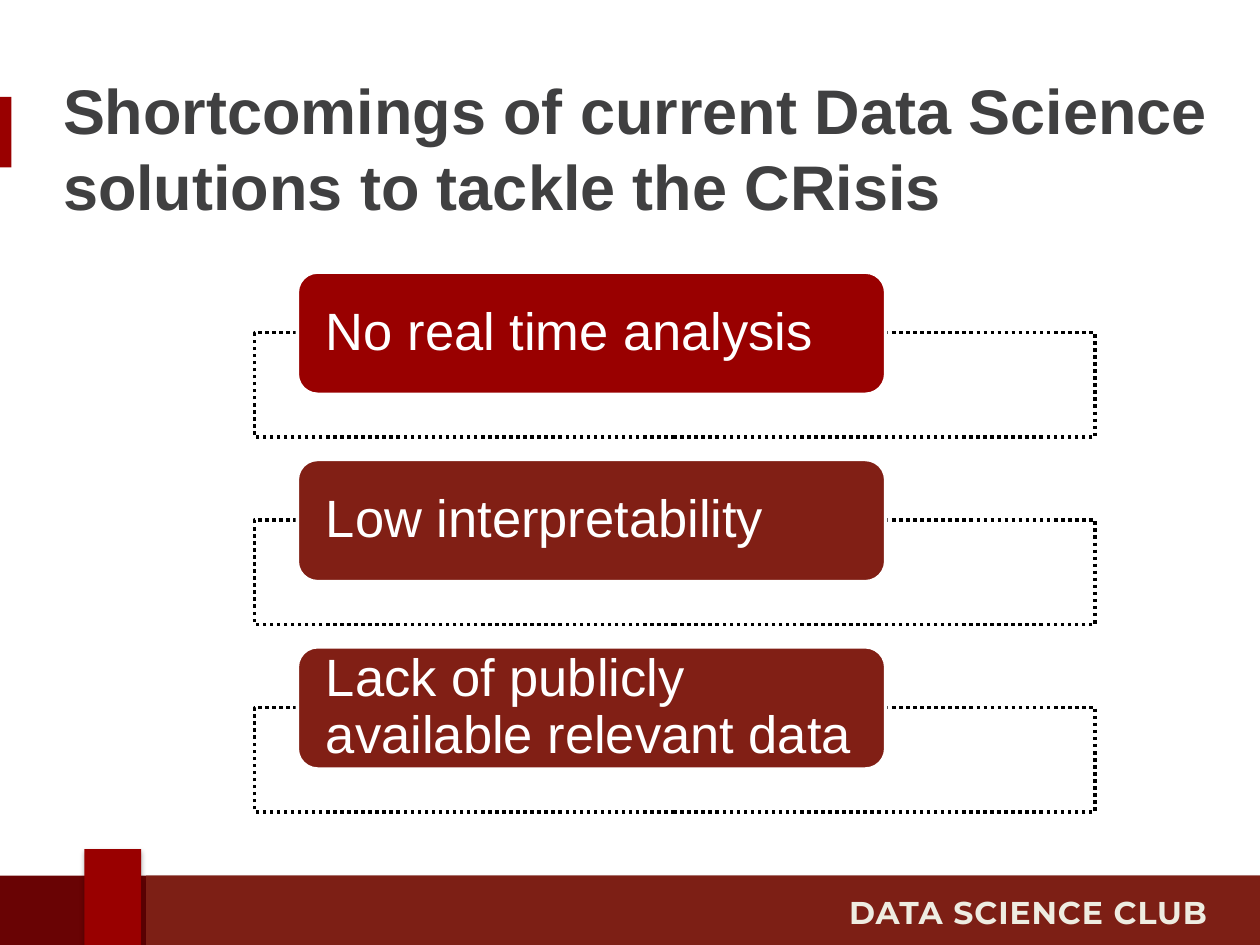
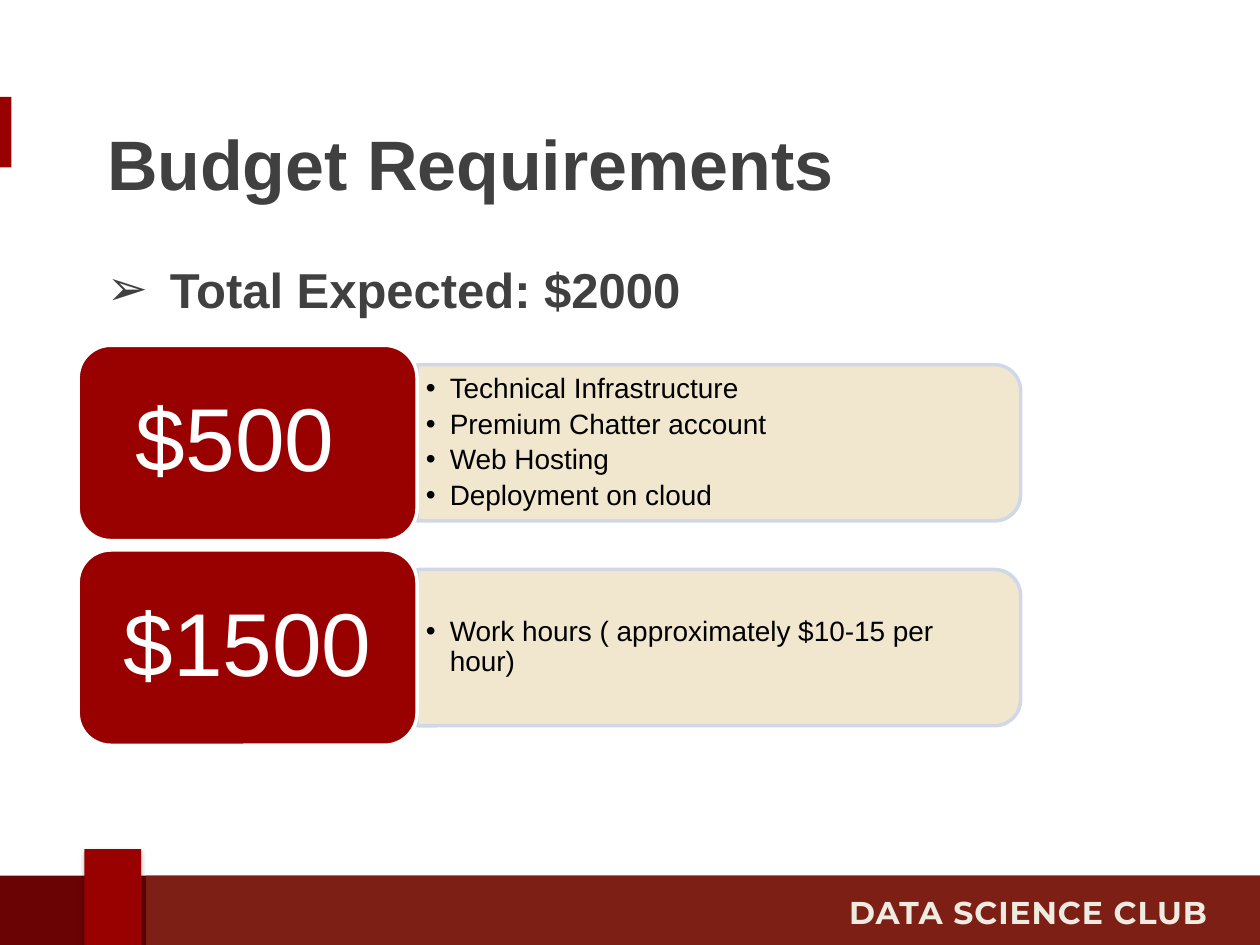
from lxml import etree
from pptx import Presentation, util as u
from pptx.dml import color
from pptx.enum import dml, shapes, text
from pptx.oxml import ns

COLORS = dict(
    red="990000", dark="690304", brick="7D1F15", rust="811F15", white="FFFFFF",
    gray="404041", cream="EFE5C9", pale="EEECE1", mist="D0D8E8", black="000000",
)
COLS, ROWS = 100, 75
SHAPE = shapes.MSO_SHAPE
LEFT, CENTER = text.PP_ALIGN.LEFT, text.PP_ALIGN.CENTER
TOP, MIDDLE = text.MSO_ANCHOR.TOP, text.MSO_ANCHOR.MIDDLE


def rgb(name):
    return color.RGBColor.from_string(COLORS[name])


def add_xml(parent, tag, **attrs):
    return etree.SubElement(parent, ns.qn(tag), attrs)


class Deck:
    """Holds the style and the current slide; places are in columns and rows."""

    def __init__(self):
        self.prs = Presentation()
        self.prs.slide_width, self.prs.slide_height = u.Inches(10), u.Inches(7.5)
        self.col = self.prs.slide_width / COLS
        self.row = self.prs.slide_height / ROWS

    def place(self, x, y, w, h):
        return (round(x * self.col), round(y * self.row),
                round(w * self.col), round(h * self.row))

    def new_slide(self, title, at, size):
        self.s = self.prs.slides.add_slide(self.prs.slide_layouts[5])
        sp = self.s.shapes.title
        sp.left, sp.top, sp.width, sp.height = self.place(*at)
        self.fill_text(sp, [title], size, "gray", bold=True, insets=(0.1, 0.1))
        self.frame()

    def frame(self):
        # Side mark, footer bands and club name
        self.shape(0, 7.7, 0.9, 5.6, "red")
        self.shape(0, 69.5, COLS, 5.5, "dark")
        self.shadow(self.shape(6.7, 67.4, 4.5, 7.6, "red"))
        self.shadow(self.shape(11.6, 69.5, 88.4, 5.5, "brick"))
        sp = self.label(66.4, 70.4, 32.3, 4.6, "DATA SCIENCE CLUB", 18, "pale",
                        bold=True, font="Montserrat")
        for r in sp.text_frame.paragraphs[0].runs:
            r.font._element.set("spc", "50")

    def shape(self, x, y, w, h, fill, kind=SHAPE.RECTANGLE, line=None,
              dash=None, alpha=None):
        sp = self.s.shapes.add_shape(kind, *self.place(x, y, w, h))
        sp.shadow.inherit = False
        sp.fill.solid()
        sp.fill.fore_color.rgb = rgb(fill)
        if alpha:
            clr = sp._element.spPr.find(".//" + ns.qn("a:srgbClr"))
            add_xml(clr, "a:alpha", val=str(alpha * 1000))
        if line:
            sp.line.color.rgb = rgb(line)
            sp.line.width = u.Pt(2)
            if dash:
                sp.line.dash_style = dash
        else:
            sp.line.fill.background()
        return sp

    def shadow(self, sp):
        effects = sp._element.spPr.find(ns.qn("a:effectLst"))
        outer = add_xml(effects, "a:outerShdw", blurRad=str(u.Pt(3.1)),
                        dist=str(u.Pt(1.8)), dir="5400000", rotWithShape="0")
        clr = add_xml(outer, "a:srgbClr", val=COLORS["black"])
        add_xml(clr, "a:alpha", val="35000")

    def label(self, x, y, w, h, line, size, fill, **style):
        sp = self.s.shapes.add_textbox(*self.place(x, y, w, h))
        self.fill_text(sp, [line], size, fill, **style)
        return sp

    def fill_text(self, sp, lines, size, fill, bold=False, font="Arial",
                  align=LEFT, anchor=TOP, insets=(0.1, 0.05), spacing=None,
                  after=0, bullet=None, indent=0):
        tf = sp.text_frame
        tf.word_wrap, tf.auto_size = True, text.MSO_AUTO_SIZE.NONE
        tf.vertical_anchor = anchor
        tf.margin_left = tf.margin_right = u.Inches(insets[0])
        tf.margin_top = tf.margin_bottom = u.Inches(insets[1])
        for i, line in enumerate(lines):
            p = tf.add_paragraph() if i else tf.paragraphs[0]
            p.alignment, p.space_after = align, u.Pt(after)
            if spacing:
                p.line_spacing = spacing
            if bullet:
                pPr = p._p.get_or_add_pPr()
                pPr.set("marL", str(u.Inches(indent)))
                pPr.set("indent", str(-u.Inches(indent)))
                add_xml(pPr, "a:buFont", typeface="Arial")
                add_xml(pPr, "a:buChar", char=bullet)
            r = p.add_run()
            r.text = line
            r.font.name, r.font.size, r.font.bold = font, u.Pt(size), bold
            r.font.color.rgb = rgb(fill)

    def tile(self, x, y, w, h, line, size, fill, insets, align=LEFT):
        sp = self.shape(x, y, w, h, fill, SHAPE.ROUNDED_RECTANGLE, "white")
        self.fill_text(sp, [line], size, "white", align=align, anchor=MIDDLE,
                       insets=insets, spacing=0.9)

    def shortcoming(self, y, line, fill):
        self.shape(20.2, y + 4.8, 66.7, 8.3, "white", line="black",
                   dash=dml.MSO_LINE.ROUND_DOT, alpha=90)
        self.tile(23.6, y, 46.7, 9.7, line, 30, fill, (0.18, 0))

    def cost(self, y, amount, items):
        # Panel is a top-rounded shape turned a quarter, so its sides swap
        x, w, h = 33.1, 47.9, 12.4
        mid_x, mid_y = x + w / 2, y + 15.5 / 2
        sp = self.shape(mid_x - h / 2, mid_y - w / 2, h, w, "cream",
                        SHAPE.ROUND_2_SAME_RECTANGLE, "mist", alpha=90)
        sp.rotation = 90
        sp = self.s.shapes.add_textbox(*self.place(x, mid_y - 5.6, 47.3, 11.2))
        self.fill_text(sp, items, 16, "black", anchor=MIDDLE,
                       insets=(0.07, 0.03), spacing=0.9, after=3,
                       bullet="•", indent=0.19)
        self.tile(6.2, y, 26.9, 15.5, amount, 51, "red", (0.21, 0.11), CENTER)


deck = Deck()

# Slide 1: shortcomings
deck.new_slide("Shortcomings of current Data\u00a0Science solutions to tackle the CRisis",
               (4, 4.7, 96, 14), 36)
for i, (line, fill) in enumerate([
        ("No real time analysis", "red"),
        ("Low interpretability", "rust"),
        ("Lack of publicly available relevant data", "rust")]):
    deck.shortcoming(21.6 + 14.87 * i, line, fill)

# Slide 2: budget
deck.new_slide("Budget Requirements", (7.5, 8.6, 87.5, 10.2), 40)
deck.label(7.5, 19.7, 87.5, 7, "Total Expected: $2000", 28, "gray", bold=True,
           insets=(0.1, 0.09), bullet="➢", indent=0.5)
for i, (amount, items) in enumerate([
        ("$500\u00a0", ["Technical Infrastructure", "Premium Chatter account",
                        "Web Hosting", "Deployment on cloud"]),
        ("$1500", ["Work hours ( approximately $10-15 per hour)"])]):
    deck.cost(27.4 + 16.25 * i, amount, items)

deck.prs.save("out.pptx")
